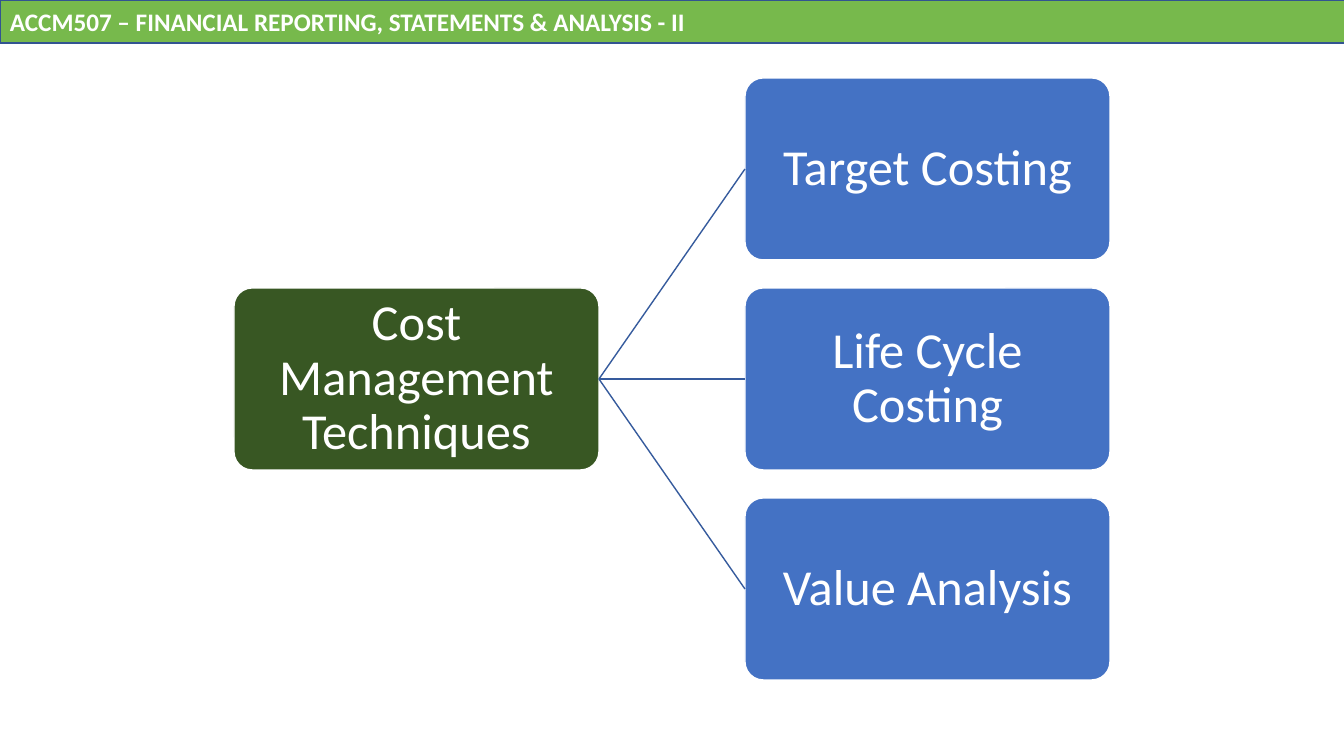
from lxml.etree import SubElement
from pptx import Presentation
from pptx.dml.color import RGBColor
from pptx.enum.shapes import MSO_CONNECTOR, MSO_SHAPE
from pptx.enum.text import MSO_ANCHOR, PP_ALIGN
from pptx.oxml.ns import qn
from pptx.util import Emu, Pt

HEADER = "ACCM507 – FINANCIAL REPORTING, STATEMENTS & ANALYSIS - II"
TOPIC = "Cost Management Techniques"
TECHNIQUES = ["Target Costing", "Life Cycle Costing", "Value Analysis"]

COLORS = {
    "header": "77B94C",
    "header_line": "325491",
    "topic": "385723",
    "technique": "4472C4",
    "connector": "365B9D",
    "white": "FFFFFF",
}
HEADER_FONT = {"name": "Calibri", "size": Pt(18), "bold": True}
BOX_FONT = {"name": "Calibri", "size": Pt(36), "bold": False}
HEADER_PARAGRAPH = {"alignment": PP_ALIGN.LEFT}
BOX_PARAGRAPH = {"alignment": PP_ALIGN.CENTER, "line_spacing": 0.9}

SLIDE_W, SLIDE_H = 1344, 756
HEADER_W, HEADER_H = 1346, 43
BOX_W, BOX_H, BOX_INSET = 365, 182, 3
TOPIC_X, TECHNIQUE_X = 234, 745
FIRST_Y, PITCH = 78, 210
LEFT_SIDE, RIGHT_SIDE = 1, 3


def px(value):
    return Emu(round(value * 914400 / 100.8))


def color(name):
    return RGBColor.from_string(COLORS[name])


def apply(target, values):
    for name, value in values.items():
        setattr(target, name, value)


def add_panel(slide, kind, bounds, text, fill, line, font, paragraph_format):
    shape = slide.shapes.add_shape(kind, *map(px, bounds))
    shape.shadow.inherit = False
    shape.fill.solid()
    shape.fill.fore_color.rgb = color(fill)
    shape.line.color.rgb = color(line)
    shape.line.width = Pt(1)
    frame = shape.text_frame
    apply(frame, {"word_wrap": True, "vertical_anchor": MSO_ANCHOR.MIDDLE})
    paragraph = frame.paragraphs[0]
    apply(paragraph, paragraph_format)
    run = paragraph.add_run()
    run.text = text
    apply(run.font, font)
    run.font.color.rgb = color("white")
    return shape


def add_box(slide, x, y, text, fill):
    box = add_panel(slide, MSO_SHAPE.ROUNDED_RECTANGLE, (x, y, BOX_W, BOX_H),
                    text, fill, "white", BOX_FONT, BOX_PARAGRAPH)
    box.adjustments[0] = 0.1
    for side in ("left", "top", "right", "bottom"):
        setattr(box.text_frame, f"margin_{side}", px(BOX_INSET))
    return box


def join(slide, start, end):
    connector = slide.shapes.add_connector(MSO_CONNECTOR.STRAIGHT, 0, 0, 0, 0)
    connector.begin_connect(start, RIGHT_SIDE)
    connector.end_connect(end, LEFT_SIDE)
    connector.line.color.rgb = color("connector")
    connector.line.width = Pt(1)
    SubElement(connector._element.spPr, qn("a:effectLst"))


def main():
    presentation = Presentation()
    apply(presentation, {"slide_width": px(SLIDE_W), "slide_height": px(SLIDE_H)})
    slide = presentation.slides.add_slide(presentation.slide_layouts[6])
    add_panel(slide, MSO_SHAPE.RECTANGLE, (0, 0, HEADER_W, HEADER_H), HEADER,
              "header", "header_line", HEADER_FONT, HEADER_PARAGRAPH)
    topic_y = FIRST_Y + PITCH * (len(TECHNIQUES) - 1) / 2
    topic = add_box(slide, TOPIC_X, topic_y, TOPIC, "topic")
    for index, name in enumerate(TECHNIQUES):
        technique = add_box(slide, TECHNIQUE_X, FIRST_Y + PITCH * index, name, "technique")
        join(slide, topic, technique)
    presentation.save("out.pptx")


if __name__ == "__main__":
    main()
